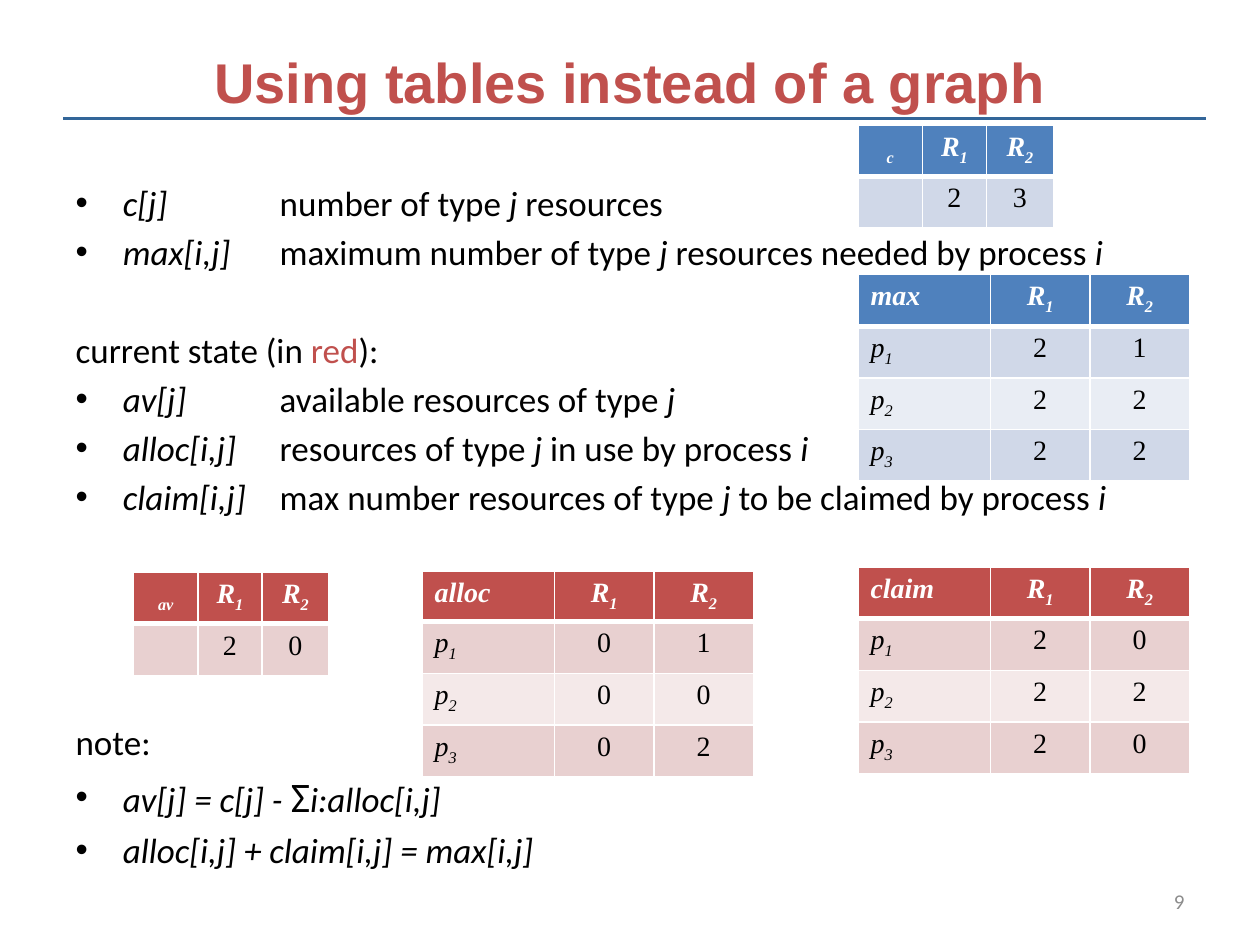
import pptx
import pptx.dml.color
import pptx.enum.shapes
import pptx.enum.text
import pptx.oxml
import pptx.oxml.ns
import pptx.util
from lxml import etree

Inches = pptx.util.Inches
Pt = pptx.util.Pt
RGBColor = pptx.dml.color.RGBColor
ALIGN = pptx.enum.text.PP_ALIGN
qn = pptx.oxml.ns.qn

RED = RGBColor(0xC0, 0x50, 0x4D)
RED_BANDS = (RGBColor(0xE8, 0xD0, 0xD0), RGBColor(0xF4, 0xE9, 0xE9))
BLUE = RGBColor(0x4F, 0x81, 0xBD)
BLUE_BANDS = (RGBColor(0xD0, 0xD8, 0xE8), RGBColor(0xE9, 0xED, 0xF4))
RULE_BLUE = RGBColor(0x33, 0x66, 0x99)
GREY = RGBColor(0x8C, 0x8C, 0x8C)
BLACK = RGBColor(0, 0, 0)
WHITE = RGBColor(0xFF, 0xFF, 0xFF)

BODY_PITCH = 28
BODY_SPACE = 4
SMALL_COLUMNS = (0.51, 0.51, 0.53)
LARGE_COLUMNS = (1.05, 0.79, 0.79)
ROW_HEIGHT = 0.41


def write(paragraph, text, size=20, font="Calibri", color=BLACK,
          bold=False, italic=False, subscript=False):
    run = paragraph.add_run()
    run.text = text
    run.font.size = Pt(size)
    run.font.name = font
    run.font.color.rgb = color
    run.font.bold = bold
    run.font.italic = italic
    if subscript:
        run.font._element.set("baseline", "-25000")


def add_title(slide, text):
    title = slide.shapes.title
    title.left, title.top, title.width, title.height = map(Inches, (0.5, 0.21, 9, 0.87))
    heading = title.text_frame.paragraphs[0]
    heading.alignment = ALIGN.CENTER
    write(heading, text, size=32, font="Arial", color=RED, bold=True)


def add_rule(slide):
    rule = slide.shapes.add_connector(
        pptx.enum.shapes.MSO_CONNECTOR.STRAIGHT,
        Inches(0.5), Inches(0.94), Inches(9.57), Inches(0.94))
    rule.line.color.rgb = RULE_BLUE
    rule.line.width = Pt(1.5)
    etree.SubElement(rule._element.spPr, qn("a:effectLst"))


def italic(text):
    return text, {"italic": True}


def plain(text, **style):
    return text, style


def add_body(slide, lines):
    body = slide.placeholders[1]
    body.left, body.top, body.width, body.height = map(Inches, (0.5, 1.39, 9, 5.91))
    frame = body.text_frame
    frame.auto_size = pptx.enum.text.MSO_AUTO_SIZE.NONE
    for number, (bulleted, skipped_lines, pieces) in enumerate(lines):
        line = frame.add_paragraph() if number else frame.paragraphs[0]
        if skipped_lines:
            line.space_before = Pt(BODY_SPACE + skipped_lines * BODY_PITCH)
        properties = line._p.get_or_add_pPr()
        if not bulleted:
            properties.set("marL", "0")
            properties.set("indent", "0")
            etree.SubElement(properties, qn("a:buNone"))
        tabs = etree.SubElement(properties, qn("a:tabLst"))
        etree.SubElement(tabs, qn("a:tab"), pos=str(Inches(1.62)), algn="l")
        for text, style in pieces:
            write(line, text, **style)


def add_cell_borders(cell, bottom):
    properties = cell._tc.get_or_add_tcPr()
    for side, width in (("L", 1), ("R", 1), ("T", 1), ("B", bottom)):
        border = etree.SubElement(properties, qn("a:ln" + side), w=str(Pt(width)))
        fill = etree.SubElement(border, qn("a:solidFill"))
        etree.SubElement(fill, qn("a:srgbClr"), val=str(WHITE))


def fill_cell(cell, label, color, background, bold, slanted, centred, bottom):
    add_cell_borders(cell, bottom)
    cell.fill.solid()
    cell.fill.fore_color.rgb = background
    entry = cell.text_frame.paragraphs[0]
    entry.alignment = ALIGN.CENTER if centred else ALIGN.LEFT
    base, _, index = label.partition("_")
    for text, lowered in ((base, False), (index, True)):
        if text:
            write(entry, text, size=16, font="Times New Roman", color=color,
                  bold=bold, italic=slanted, subscript=lowered)


def add_matrix(slide, left, top, columns, rows, head_color, bands,
               head_height=ROW_HEIGHT):
    heights = [head_height] + [ROW_HEIGHT] * (len(rows) - 1)
    matrix = slide.shapes.add_table(
        len(rows), len(columns), Inches(left), Inches(top),
        Inches(sum(columns)), Inches(sum(heights))).table
    for column, width in zip(matrix.columns, columns):
        column.width = Inches(width)
    for r, (labels, height) in enumerate(zip(rows, heights)):
        matrix.rows[r].height = Inches(height)
        is_head = r == 0
        for c, label in enumerate(labels):
            fill_cell(
                matrix.cell(r, c), label,
                color=WHITE if is_head else BLACK,
                background=head_color if is_head else bands[(r - 1) % 2],
                bold=is_head,
                slanted=is_head or c == 0,
                centred=c > 0 or columns == SMALL_COLUMNS,
                bottom=3 if is_head else 1)


def resource_rows(name, amounts):
    return [(name, "R_1", "R_2"), ("", *amounts)]


def process_rows(name, amounts):
    processes = [(f"p_{n}", *pair) for n, pair in enumerate(amounts, 1)]
    return [(name, "R_1", "R_2"), *processes]


def add_page_number(slide, number):
    box = slide.shapes.add_textbox(Inches(7.17), Inches(6.95), Inches(2.33), Inches(0.4))
    box.text_frame.word_wrap = True
    box.text_frame.vertical_anchor = pptx.enum.text.MSO_ANCHOR.MIDDLE
    page = box.text_frame.paragraphs[0]
    page.alignment = ALIGN.RIGHT
    write(page, number, size=12, color=GREY)


def main():
    deck = pptx.Presentation()
    deck.slide_width, deck.slide_height = Inches(10), Inches(7.5)
    slide = deck.slides.add_slide(deck.slide_layouts[1])

    add_rule(slide)
    add_title(slide, "Using tables instead of a graph")
    add_page_number(slide, "9")
    add_body(slide, [
        (True, 0, [italic("c[j]\t"), plain("number of type "), italic("j"),
                   plain(" resources")]),
        (True, 0, [italic("max[i,j]"), plain("\tmaximum number of type "), italic("j "),
                   plain("resources needed by process "), italic("i")]),
        (False, 1, [plain("current state (in "), plain("red", color=RED), plain("):")]),
        (True, 0, [italic("av[j]\t"), plain("available resources of type "), italic("j")]),
        (True, 0, [italic("alloc[i,j]\t"), plain("resources of type "), italic("j "),
                   plain("in use by process "), italic("i")]),
        (True, 0, [italic("claim[i,j] \t"), plain("max number resources of type "),
                   italic("j "), plain("to be claimed by process "), italic("i")]),
        (False, 4, [plain("note:")]),
        (True, 0, [italic("av[j] = c[j] - "), plain("Σ", size=24),
                   italic("i:alloc[i,j]")]),
        (True, 0, [italic("alloc[i,j] + claim[i,j] = max[i,j]")]),
    ])

    add_matrix(slide, 6.81, 0.99, SMALL_COLUMNS, resource_rows("_c", "23"),
               BLUE, BLUE_BANDS)
    add_matrix(slide, 6.81, 2.18, LARGE_COLUMNS,
               process_rows("max", ("21", "22", "22")), BLUE, BLUE_BANDS)
    add_matrix(slide, 1.06, 4.54, SMALL_COLUMNS, resource_rows("_av", "20"),
               RED, RED_BANDS)
    add_matrix(slide, 3.35, 4.53, LARGE_COLUMNS,
               process_rows("alloc", ("01", "00", "02")), RED, RED_BANDS,
               head_height=0.36)
    add_matrix(slide, 6.81, 4.5, LARGE_COLUMNS,
               process_rows("claim", ("20", "22", "20")), RED, RED_BANDS)

    deck.save("out.pptx")


if __name__ == "__main__":
    main()
